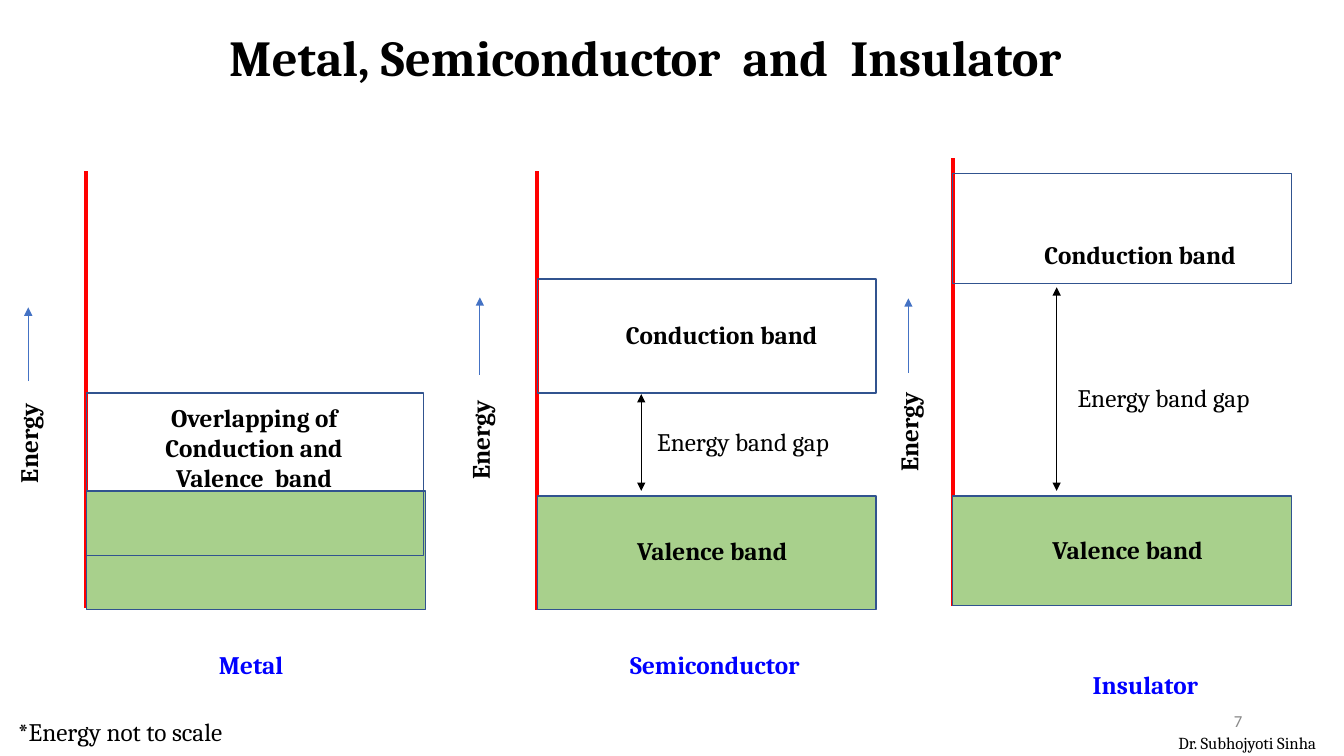
"""Build a slide comparing the energy bands of a metal, a semiconductor and an insulator."""
from dataclasses import dataclass
from typing import Optional

import pptx
import pptx.dml.color
import pptx.enum.shapes
import pptx.enum.text
import pptx.oxml
import pptx.oxml.ns
import pptx.util

RGBColor = pptx.dml.color.RGBColor
Align = pptx.enum.text.PP_ALIGN
Anchor = pptx.enum.text.MSO_ANCHOR

BLACK = RGBColor(0x00, 0x00, 0x00)
GREY = RGBColor(0x88, 0x88, 0x88)
RED = RGBColor(0xFF, 0x00, 0x00)
BLUE = RGBColor(0x00, 0x00, 0xFF)
ARROW_BLUE = RGBColor(0x44, 0x72, 0xC4)
OUTLINE = RGBColor(0x31, 0x53, 0x8F)
GREEN = RGBColor(0xA8, 0xD0, 0x8C)

COLUMNS, ROWS = 133.3, 75
CELL = pptx.util.Inches(0.1)
BAND_COLUMNS = 33.6
ENERGY_COLUMNS = 11
LABEL_ROWS = 4


def cells(count: float) -> pptx.util.Emu:
    return pptx.util.Emu(round(count * CELL))


@dataclass(frozen=True)
class Label:
    text: str
    left: float
    top: float
    width: float
    height: float = LABEL_ROWS
    size: float = 18
    color: RGBColor = BLACK
    bold: bool = False
    align: Align = Align.LEFT
    anchor: Anchor = Anchor.TOP
    font: str = "Cambria"
    rotation: float = 0


@dataclass(frozen=True)
class Line:
    start: tuple[float, float]
    end: tuple[float, float]
    color: RGBColor
    weight: float
    arrows: tuple[str, ...] = ()


@dataclass(frozen=True)
class Band:
    left: float
    top: float
    height: float
    fill: Optional[RGBColor] = None
    width: float = BAND_COLUMNS


@dataclass(frozen=True)
class Diagram:
    axis: Line
    bands: tuple[Band, ...]
    energy_arrow: Line
    energy_bottom: float
    labels: tuple[Label, ...]
    gap_arrow: Optional[Line] = None


def axis(column: float, top: float, bottom: float) -> Line:
    return Line((column, top), (column, bottom), RED, 3)


def energy_arrow(column: float, bottom: float, top: float) -> Line:
    return Line((column, bottom), (column, top), ARROW_BLUE, 0.75, ("tailEnd",))


def gap_arrow(column: float, top: float, bottom: float) -> Line:
    return Line((column, top), (column, bottom), BLACK, 1, ("headEnd", "tailEnd"))


def band_name(text: str, left: float, top: float) -> Label:
    return Label(text, left, top, 22, bold=True)


def material(text: str, left: float, top: float) -> Label:
    return Label(text, left, top, 26.2, color=BLUE, bold=True, align=Align.CENTER)


DIAGRAMS = (
    Diagram(
        axis(53.3, 17, 60.5),
        (Band(53.3, 27.7, 11.3), Band(53.3, 49.2, 11.3, GREEN)),
        energy_arrow(47.6, 37.2, 29.5), 48.6,
        (band_name("Valence band", 62.2, 52.6),
         band_name("Conduction band", 61.1, 31.2),
         Label("Energy band gap", 64.2, 41.8, 22.3),
         material("Semiconductor", 57.8, 63.9)),
        gap_arrow(63.6, 39.1, 48.7),
    ),
    Diagram(
        axis(8.5, 17, 60.3),
        (Band(8.6, 48.7, 11.8, GREEN), Band(8.6, 39, 16.1, width=33.4)),
        energy_arrow(2.8, 37.8, 30.5), 48.9,
        (Label("Overlapping of Conduction and Valence  band", 14.2, 39.4, 22, 10.1,
               bold=True, align=Align.CENTER),
         material("Metal", 11.8, 63.9)),
    ),
    Diagram(
        axis(94.5, 15.7, 60.1),
        (Band(94.5, 17.2, 10.9), Band(94.5, 49.2, 10.9, GREEN)),
        energy_arrow(90.1, 37, 29.6), 47.8,
        (band_name("Valence band", 103.4, 52.5),
         band_name("Conduction band", 102.6, 23.3),
         Label("Energy band gap", 105.9, 37.4, 22.3),
         material("Insulator", 100.5, 65.9)),
        gap_arrow(104.8, 28.5, 48.7),
    ),
)

PAGE_LABELS = (
    Label("Metal, Semiconductor  and  Insulator", 10.4, 2.1, 107.2, 7.1, 36,
          bold=True, align=Align.CENTER),
    Label("*Energy not to scale", 0.8, 70.6, 27),
    Label("7", 94.2, 69.5, 30, size=12, color=GREY, align=Align.RIGHT,
          anchor=Anchor.MIDDLE, font="Calibri"),
    Label("Dr. Subhojyoti Sinha", 115.9, 72.2, 17.4, 2.8, 12),
)


def draw_label(page: pptx.slide.Slide, label: Label) -> None:
    box = page.shapes.add_textbox(
        cells(label.left), cells(label.top), cells(label.width), cells(label.height))
    box.rotation = label.rotation
    frame = box.text_frame
    frame.word_wrap = True
    frame.vertical_anchor = label.anchor
    para = frame.paragraphs[0]
    para.alignment = label.align
    span = para.add_run()
    span.text = label.text
    span.font.name = label.font
    span.font.size = pptx.util.Pt(label.size)
    span.font.bold = label.bold
    span.font.color.rgb = label.color


def draw_line(page: pptx.slide.Slide, line: Line) -> None:
    connector = page.shapes.add_connector(
        pptx.enum.shapes.MSO_CONNECTOR.STRAIGHT,
        *(cells(count) for count in line.start + line.end))
    connector.line.color.rgb = line.color
    connector.line.width = pptx.util.Pt(line.weight)
    outline = connector.line._get_or_add_ln()
    for end in line.arrows:
        arrow = pptx.oxml.parse_xml(
            f'<a:{end} {pptx.oxml.ns.nsdecls("a")} type="triangle"/>')
        outline.append(arrow)
    connector._element.spPr.append(
        pptx.oxml.parse_xml(f'<a:effectLst {pptx.oxml.ns.nsdecls("a")}/>'))


def draw_band(page: pptx.slide.Slide, band: Band) -> None:
    shape = page.shapes.add_shape(
        pptx.enum.shapes.MSO_SHAPE.RECTANGLE,
        cells(band.left), cells(band.top), cells(band.width), cells(band.height))
    shape.shadow.inherit = False
    shape.line.color.rgb = OUTLINE
    shape.line.width = pptx.util.Pt(1)
    if band.fill is None:
        shape.fill.background()
    else:
        shape.fill.solid()
        shape.fill.fore_color.rgb = band.fill


def draw_diagram(page: pptx.slide.Slide, diagram: Diagram) -> None:
    draw_line(page, diagram.axis)
    for band in diagram.bands:
        draw_band(page, band)
    draw_line(page, diagram.energy_arrow)
    if diagram.gap_arrow is not None:
        draw_line(page, diagram.gap_arrow)
    left = diagram.energy_arrow.start[0] - ENERGY_COLUMNS / 2
    top = diagram.energy_bottom - (ENERGY_COLUMNS + LABEL_ROWS) / 2
    energy = Label("Energy", left, top, ENERGY_COLUMNS, bold=True, rotation=270)
    for label in (energy, *diagram.labels):
        draw_label(page, label)


def main() -> None:
    deck = pptx.Presentation()
    deck.slide_width, deck.slide_height = cells(COLUMNS), cells(ROWS)
    page = deck.slides.add_slide(deck.slide_layouts[6])
    for diagram in DIAGRAMS:
        draw_diagram(page, diagram)
    for label in PAGE_LABELS:
        draw_label(page, label)
    deck.save("out.pptx")


if __name__ == "__main__":
    main()
